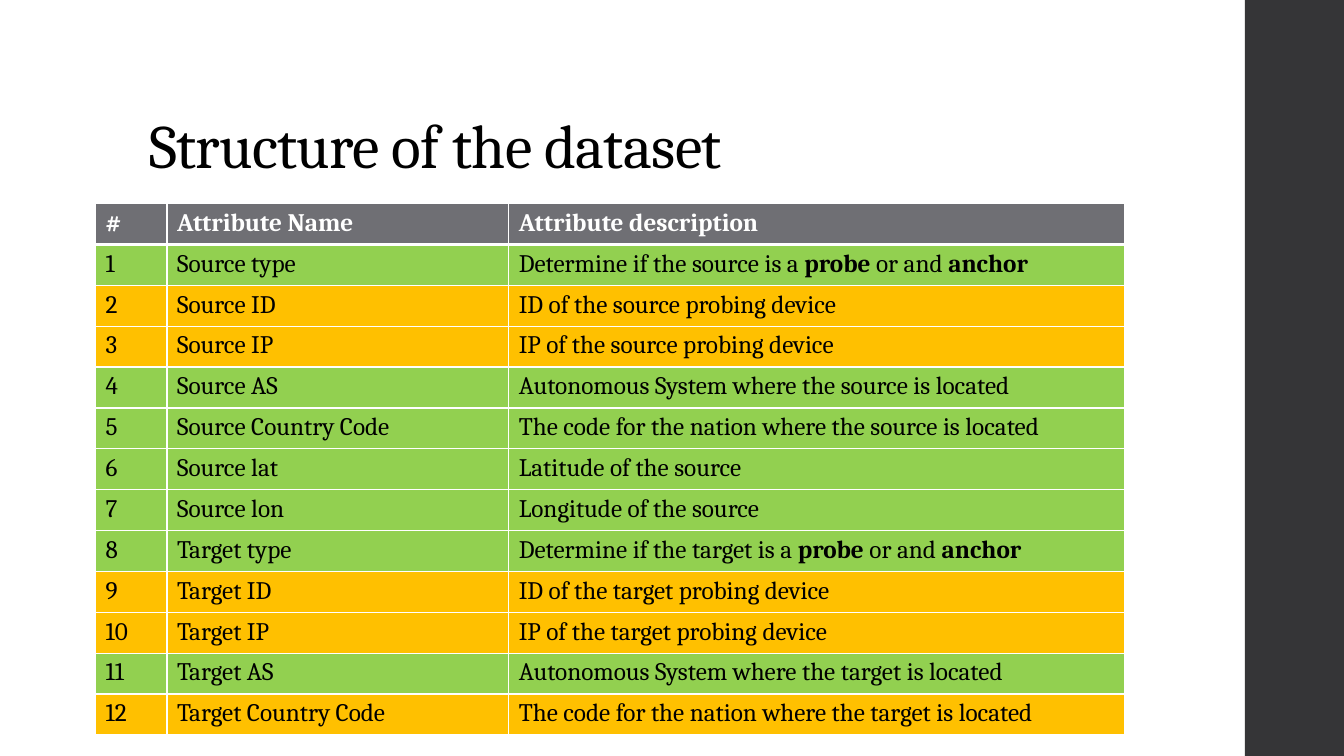
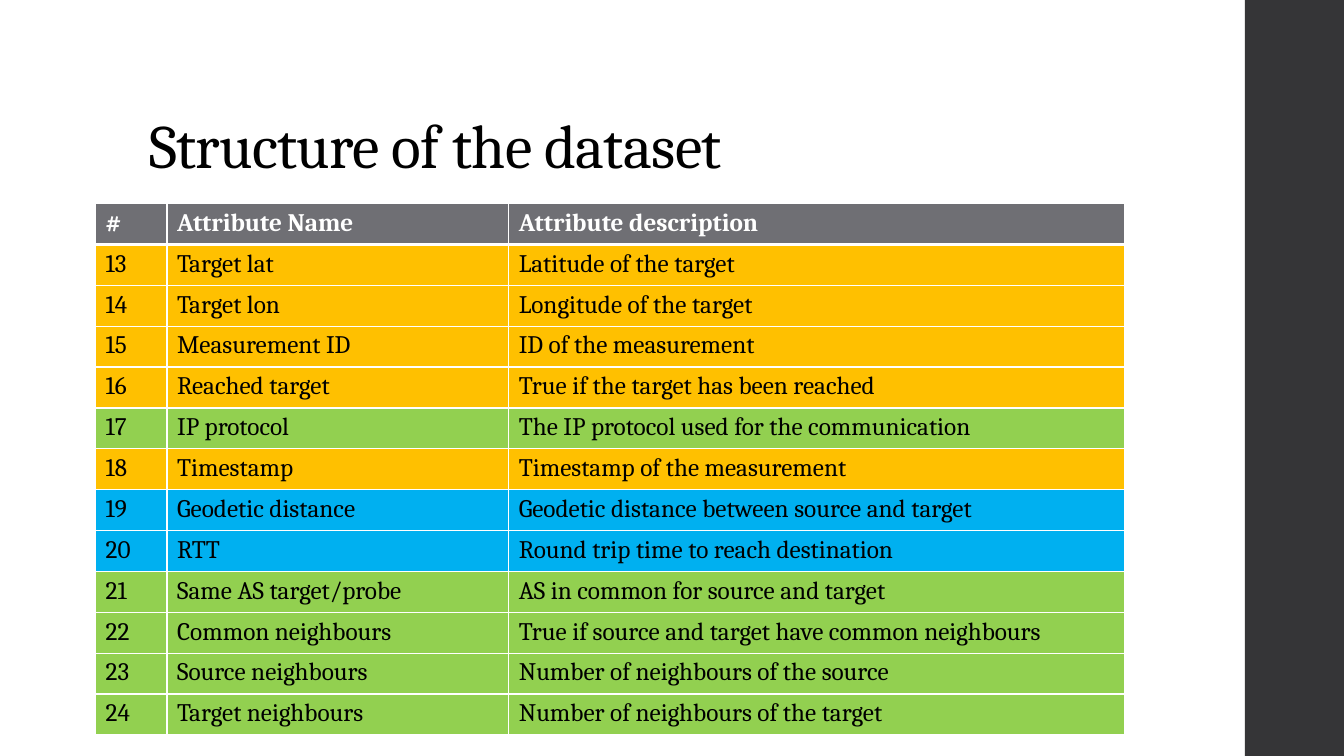
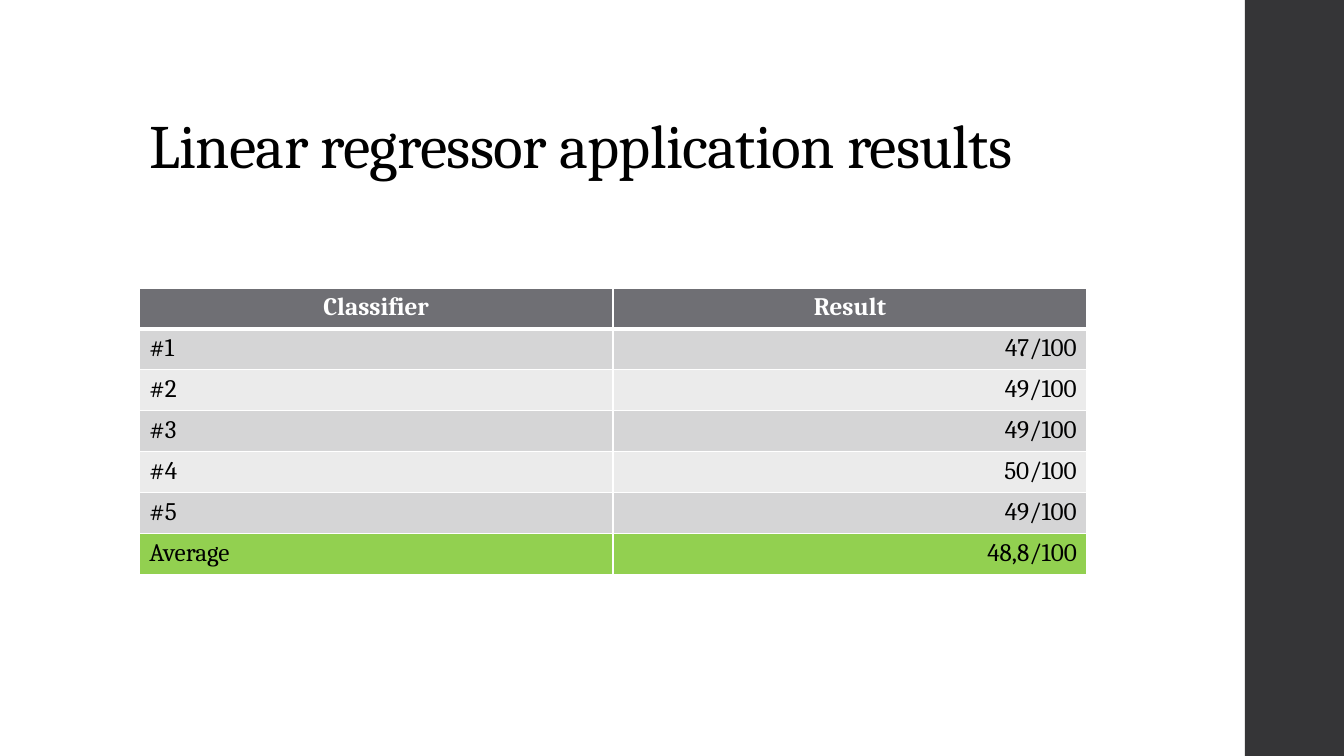
"""Build three slides on a network dataset and its regression results."""
from dataclasses import dataclass
from typing import Sequence

from lxml.etree import SubElement
from pptx import Presentation
from pptx.dml.color import RGBColor
from pptx.enum.shapes import MSO_SHAPE
from pptx.enum.text import MSO_ANCHOR, PP_ALIGN
from pptx.oxml.ns import qn
from pptx.presentation import Presentation as Deck
from pptx.slide import Slide
from pptx.table import _Cell as Cell
from pptx.util import Cm, Pt


@dataclass(frozen=True)
class Theme:
    font: str = "Cambria"
    title_size: int = 44
    table_size: int = 18
    title_tracking: int = -50
    thin_border: int = 1
    thick_border: int = 3
    text: str = "000000"
    white: str = "FFFFFF"
    band: str = "353537"
    header: str = "6F6F74"
    dark_stripe: str = "D5D5D6"
    light_stripe: str = "EBEBEB"
    green: str = "92D050"
    amber: str = "FFC000"
    blue: str = "00B0F0"


THEME = Theme()
SLIDE_WIDTH, SLIDE_HEIGHT = Cm(33.87), Cm(19.05)
BAND_LEFT = Cm(31.37)
ROW_HEIGHT = Cm(1.03)
LEFT, CENTER, RIGHT = PP_ALIGN.LEFT, PP_ALIGN.CENTER, PP_ALIGN.RIGHT


@dataclass(frozen=True)
class Row:
    cells: tuple[str, ...]
    fill: str


@dataclass(frozen=True)
class TableLayout:
    left: float
    top: float
    widths: tuple[float, ...]
    headings: tuple[str, ...]
    heading_alignment: PP_ALIGN
    alignments: tuple[PP_ALIGN, ...]


ATTRIBUTE_LAYOUT = TableLayout(
    2.41, 5.13, (1.8, 8.61, 15.52),
    ("#", "Attribute Name", "Attribute description"), LEFT, (LEFT, LEFT, LEFT),
)
RESULT_LAYOUT = TableLayout(
    3.51, 7.26, (11.94, 11.94), ("Classifier", "Result"), CENTER, (LEFT, RIGHT),
)

ATTRIBUTES = (
    Row(("Source type", "Determine if the source is a *probe* or and *anchor*"), THEME.green),
    Row(("Source ID", "ID of the source probing device"), THEME.amber),
    Row(("Source IP", "IP of the source probing device"), THEME.amber),
    Row(("Source AS", "Autonomous System where the source is located"), THEME.green),
    Row(("Source Country Code", "The code for the nation where the source is located"), THEME.green),
    Row(("Source lat", "Latitude of the source"), THEME.green),
    Row(("Source lon", "Longitude of the source"), THEME.green),
    Row(("Target type", "Determine if the target is a *probe* or and *anchor*"), THEME.green),
    Row(("Target ID", "ID of the target probing device"), THEME.amber),
    Row(("Target IP", "IP of the target probing device"), THEME.amber),
    Row(("Target AS", "Autonomous System where the target is located"), THEME.green),
    Row(("Target Country Code", "The code for the nation where the target is located"), THEME.amber),
    Row(("Target lat", "Latitude of the target"), THEME.amber),
    Row(("Target lon", "Longitude of the target"), THEME.amber),
    Row(("Measurement ID", "ID of the measurement"), THEME.amber),
    Row(("Reached target", "True if the target has been reached"), THEME.amber),
    Row(("IP protocol", "The IP protocol used for the communication"), THEME.green),
    Row(("Timestamp", "Timestamp of the measurement"), THEME.amber),
    Row(("Geodetic distance", "Geodetic distance between source and target"), THEME.blue),
    Row(("RTT", "Round trip time to reach destination"), THEME.blue),
    Row(("Same AS target/probe", "AS in common for source and target"), THEME.green),
    Row(("Common neighbours", "True if source and target have common neighbours"), THEME.green),
    Row(("Source neighbours", "Number of neighbours of the source"), THEME.green),
    Row(("Target neighbours", "Number of neighbours of the target"), THEME.green),
)
ATTRIBUTES_PER_SLIDE = 12
SCORES = ("47/100", "49/100", "49/100", "50/100", "49/100")
AVERAGE = "48,8/100"


def add_page(deck: Deck, title: str) -> Slide:
    """Add a blank page with the side band and the title."""
    page = deck.slides.add_slide(deck.slide_layouts[6])
    band = page.shapes.add_shape(
        MSO_SHAPE.RECTANGLE, BAND_LEFT, 0, SLIDE_WIDTH - BAND_LEFT, SLIDE_HEIGHT
    )
    band.shadow.inherit = False
    band.fill.solid()
    band.fill.fore_color.rgb = RGBColor.from_string(THEME.band)
    band.line.fill.background()

    box = page.shapes.add_textbox(Cm(3.51), Cm(1.02), Cm(26.92), Cm(3.68))
    frame = box.text_frame
    frame.text = title
    frame.word_wrap = True
    frame.vertical_anchor = MSO_ANCHOR.BOTTOM
    para = frame.paragraphs[0]
    para.line_spacing = 0.9
    for span in para.runs:
        span.font.name = THEME.font
        span.font.size = Pt(THEME.title_size)
        span.font.color.rgb = RGBColor.from_string(THEME.text)
        span.font._element.set("spc", str(THEME.title_tracking))
    return page


def set_borders(cell: Cell, top: int, bottom: int) -> None:
    """Give a cell white borders, placed ahead of its fill."""
    properties = cell._tc.get_or_add_tcPr()
    thin = THEME.thin_border
    sides = (("a:lnL", thin), ("a:lnR", thin), ("a:lnT", top), ("a:lnB", bottom))
    for position, (tag, width) in enumerate(sides):
        line = SubElement(properties, qn(tag), w=str(Pt(width)))
        fill = SubElement(line, qn("a:solidFill"))
        SubElement(fill, qn("a:srgbClr"), val=THEME.white)
        properties.insert(position, line)


def fill_cell(cell: Cell, text: str, fill: str, alignment: PP_ALIGN, heading: bool) -> None:
    """Write a cell, with the words between asterisks in bold."""
    cell.fill.solid()
    cell.fill.fore_color.rgb = RGBColor.from_string(fill)
    para = cell.text_frame.paragraphs[0]
    para.alignment = alignment
    for position, part in enumerate(filter(None, text.split("*"))):
        span = para.add_run()
        span.text = part
        span.font.name = THEME.font
        span.font.size = Pt(THEME.table_size)
        span.font.bold = heading or position % 2 == 1
        span.font.color.rgb = RGBColor.from_string(THEME.white if heading else THEME.text)


def add_data_table(page: Slide, layout: TableLayout, rows: Sequence[Row]) -> None:
    """Draw a table with a heading row above coloured rows."""
    all_rows = (Row(layout.headings, THEME.header), *rows)
    table = page.shapes.add_table(
        len(all_rows), len(layout.widths), Cm(layout.left), Cm(layout.top),
        Cm(sum(layout.widths)), ROW_HEIGHT * len(all_rows),
    ).table
    table.horz_banding = False
    for column, width in zip(table.columns, layout.widths):
        column.width = Cm(width)
    for row_index, row in enumerate(all_rows):
        heading = row_index == 0
        top = THEME.thick_border if row_index == 1 else THEME.thin_border
        bottom = THEME.thick_border if heading else THEME.thin_border
        for column_index, text in enumerate(row.cells):
            cell = table.cell(row_index, column_index)
            alignment = layout.heading_alignment if heading else layout.alignments[column_index]
            fill_cell(cell, text, row.fill, alignment, heading)
            set_borders(cell, top, bottom)


def main() -> None:
    """Build and save the deck."""
    deck = Presentation()
    deck.slide_width, deck.slide_height = SLIDE_WIDTH, SLIDE_HEIGHT

    numbered = [
        Row((str(number), *row.cells), row.fill) for number, row in enumerate(ATTRIBUTES, 1)
    ]
    for start in range(0, len(numbered), ATTRIBUTES_PER_SLIDE):
        page = add_page(deck, "Structure of the dataset")
        add_data_table(page, ATTRIBUTE_LAYOUT, numbered[start:start + ATTRIBUTES_PER_SLIDE])

    results = [
        Row((f"#{number}", score), THEME.dark_stripe if number % 2 else THEME.light_stripe)
        for number, score in enumerate(SCORES, 1)
    ]
    results.append(Row(("Average", AVERAGE), THEME.green))
    add_data_table(add_page(deck, "Linear regressor application results"), RESULT_LAYOUT, results)

    deck.save("out.pptx")


if __name__ == "__main__":
    main()
